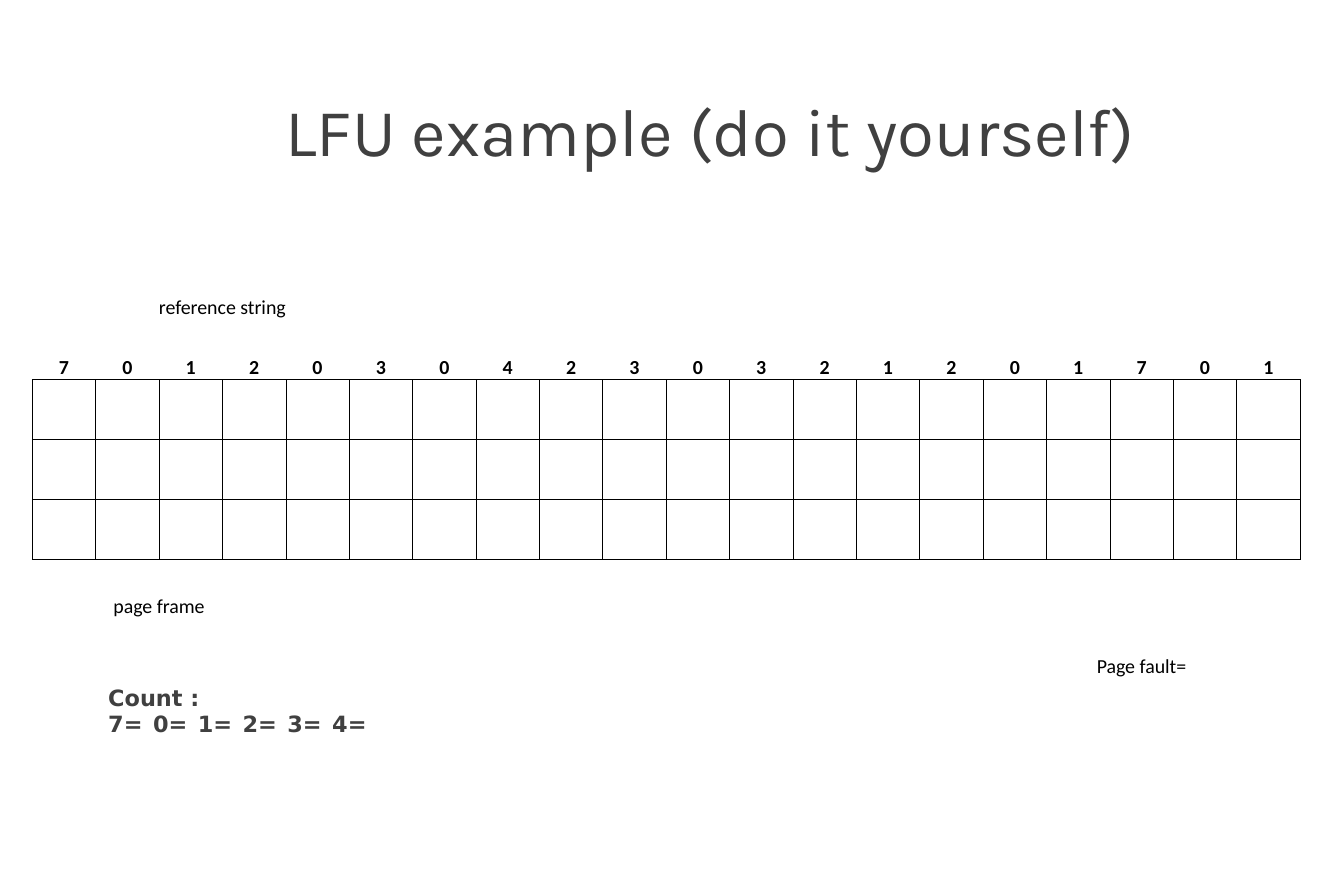
import pptx
import pptx.util
import pptx.dml.color
import pptx.enum.text
import pptx.oxml
import pptx.oxml.ns
import lxml.etree

Pt = pptx.util.Pt
RGB = pptx.dml.color.RGBColor
ALIGN = pptx.enum.text.PP_ALIGN
ANCHOR = pptx.enum.text.MSO_ANCHOR

TITLE = "LFU example (do it yourself)"
PAGES = "7 0 1 2 0 3 0 4 2 3 0 3 2 1 2 0 1 7 0 1".split()
FRAMES = 3
# text, row, first column, columns spanned
LABELS = [
    ("reference string", 0, 0, 6),
    ("page frame", 5, 0, 4),
    ("Page fault=", 6, 15, 5),
]
COUNTS = ["Count :", "7=\t0=\t1=\t2=\t3=\t4=\t"]

BLACK = RGB(0x00, 0x00, 0x00)
GREY = RGB(0x40, 0x40, 0x40)

LEFT, TOP, COL, ROW = 25.9, 208.8, 50.94, 48.14
ROWS = FRAMES + 4
HEAD = 1
GRID = range(HEAD + 1, HEAD + 1 + FRAMES)


def write(frame, *lines, size=16, font="Calibri", color=BLACK, bold=False,
          align=ALIGN.CENTER):
    for i, line in enumerate(lines):
        para = frame.add_paragraph() if i else frame.paragraphs[0]
        para.alignment = align
        run = para.add_run()
        run.text = line
        run.font.size = Pt(size)
        run.font.name = font
        run.font.bold = bold
        run.font.color.rgb = color


def edge(cell, side, drawn):
    """Give one side of a cell a thin black line, or none."""
    tag = pptx.oxml.ns.qn("a:ln" + side)
    line = lxml.etree.SubElement(cell._tc.get_or_add_tcPr(), tag)
    line.set("w", str(int(Pt(0.5))))
    kind = "a:solidFill" if drawn else "a:noFill"
    fill = lxml.etree.SubElement(line, pptx.oxml.ns.qn(kind))
    if drawn:
        tint = lxml.etree.SubElement(fill, pptx.oxml.ns.qn("a:srgbClr"))
        tint.set("val", str(BLACK))


def label(cell, text, bold=False):
    cell.vertical_anchor = ANCHOR.BOTTOM
    cell.margin_left = cell.margin_right = cell.margin_top = Pt(0.72)
    cell.margin_bottom = 0
    write(cell.text_frame, text, bold=bold)


def add_grid(slide):
    cols = len(PAGES)
    table = slide.shapes.add_table(
        ROWS, cols, Pt(LEFT), Pt(TOP), Pt(COL * cols), Pt(ROW * ROWS)).table
    table.first_row = table.horz_banding = False
    for col in table.columns:
        col.width = Pt(COL)
    for r, row in enumerate(table.rows):
        row.height = Pt(ROW)
        for cell in row.cells:
            edge(cell, "L", r in GRID)
            edge(cell, "R", r in GRID)
            edge(cell, "T", r in GRID or r - 1 in GRID)
            edge(cell, "B", r in GRID or r + 1 in GRID)
            cell.fill.background()
    for c, page in enumerate(PAGES):
        label(table.cell(HEAD, c), page, bold=True)
    for text, r, c, span in LABELS:
        cell = table.cell(r, c)
        cell.merge(table.cell(r, c + span - 1))
        label(cell, text)


def add_box(slide, left, top, width, height):
    box = slide.shapes.add_textbox(Pt(left), Pt(top), Pt(width), Pt(height))
    box.text_frame.word_wrap = True
    return box.text_frame


def main():
    deck = pptx.Presentation()
    deck.slide_width, deck.slide_height = Pt(1080), Pt(720)
    slide = deck.slides.add_slide(deck.slide_layouts[6])
    add_grid(slide)
    title = add_box(slide, 117.4, 67, 907.2, 74.9)
    title.vertical_anchor = ANCHOR.MIDDLE
    write(title, TITLE, size=54, font="Karla", color=GREY)
    count = add_box(slide, 79.9, 545.8, 895.7, 51.1)
    write(count, *COUNTS, size=18, font="DejaVu Sans", color=GREY, bold=True,
          align=ALIGN.LEFT)
    deck.save("out.pptx")


if __name__ == "__main__":
    main()
